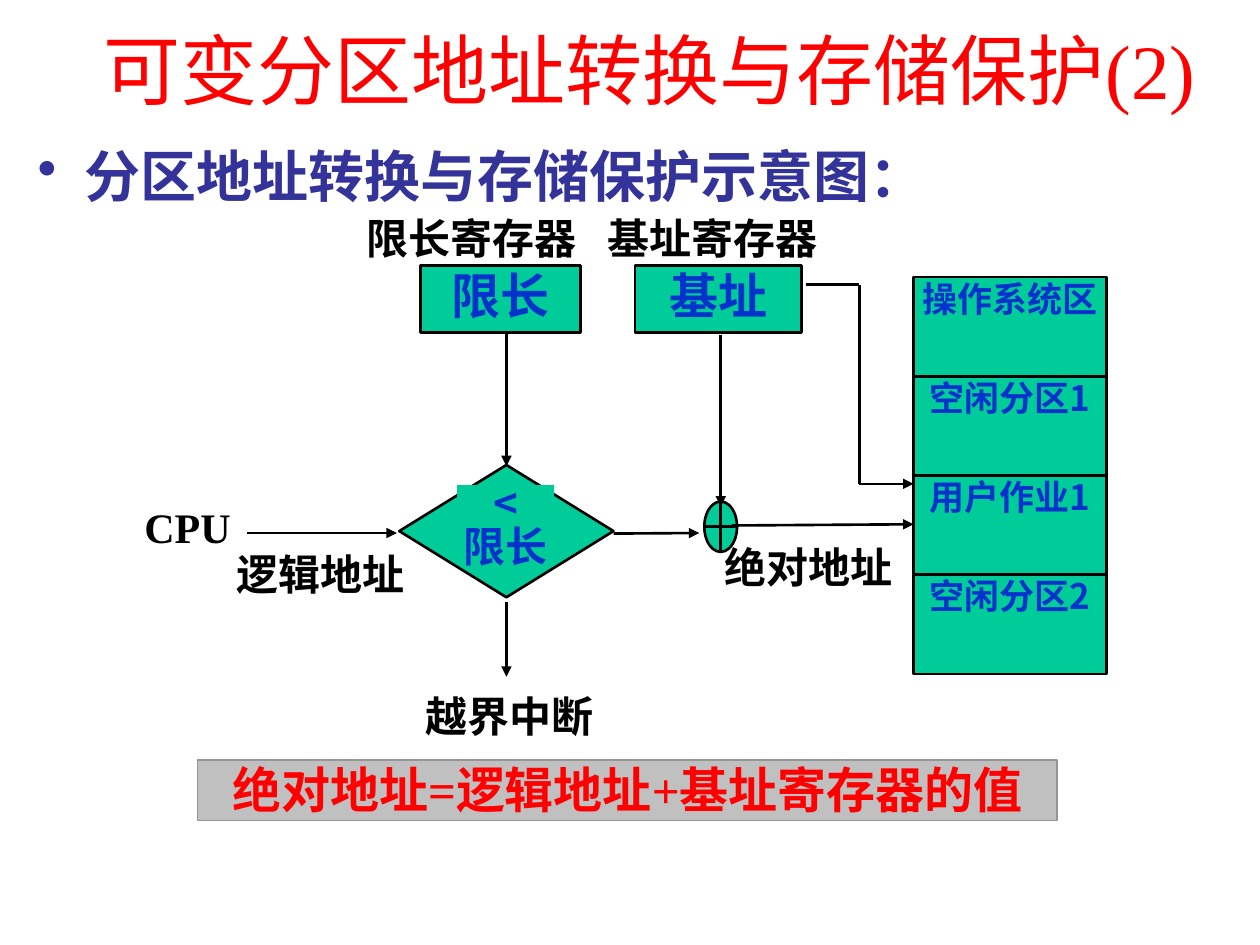
from pptx import Presentation
from pptx.dml.color import RGBColor
from pptx.enum.shapes import MSO_CONNECTOR as LINE, MSO_SHAPE as SHAPE
from pptx.enum.text import MSO_ANCHOR as ANCHOR, PP_ALIGN as ALIGN
from pptx.oxml.ns import qn
from pptx.util import Pt

SANS, SERIF = "Noto Sans CJK JP", "Times New Roman"
BLACK, RED, BLUE, GREEN = "000000", "FF0000", "0033CC", "00CC99"


def color(hex_text):
    """Turn a hex string into a colour."""
    return RGBColor.from_string(hex_text)


def write(shape, lines, size, ink, font=SANS, bold=True, align=ALIGN.CENTER,
          inset=(0, 0), spacing=None):
    """Fill a shape with one paragraph for each line."""
    frame = shape.text_frame
    frame.word_wrap = True
    frame.vertical_anchor = ANCHOR.TOP
    frame.margin_left = frame.margin_right = Pt(inset[0])
    frame.margin_top = frame.margin_bottom = Pt(inset[1])
    for index, line in enumerate(lines):
        para = frame.add_paragraph() if index else frame.paragraphs[0]
        para.alignment = align
        if spacing:
            para.line_spacing = spacing
        span = para.add_run()
        span.text = line
        span.font.size, span.font.bold, span.font.name = Pt(size), bold, font
        span.font.color.rgb = color(ink)
        east_asian = span.font._element.makeelement(qn("a:ea"), {"typeface": SANS})
        span.font._element.find(qn("a:latin")).addnext(east_asian)
    return frame


def add_label(page, box, line, size=24, ink=BLACK, **style):
    """Add a text box holding one line."""
    label = page.shapes.add_textbox(*map(Pt, box))
    return write(label, [line], size, ink, **style)


def add_block(page, kind, box, fill=GREEN, edge=BLACK, width=1.5):
    """Add a filled shape, outlined unless edge is None."""
    block = page.shapes.add_shape(kind, *map(Pt, box))
    block.shadow.inherit = False
    block.fill.solid()
    block.fill.fore_color.rgb = color(fill)
    if edge:
        block.line.color.rgb = color(edge)
        block.line.width = Pt(width)
    else:
        block.line.fill.background()
    return block


def add_line(page, start, end, arrow=True):
    """Draw a straight line, with an arrowhead at its end if asked."""
    line = page.shapes.add_connector(LINE.STRAIGHT, *map(Pt, (*start, *end)))
    line.line.color.rgb = color(BLACK)
    line.line.width = Pt(1.5)
    if arrow:
        outline = line.line._get_or_add_ln()
        outline.append(outline.makeelement(qn("a:tailEnd"), {"type": "triangle"}))
    properties = line._element.spPr
    properties.append(properties.makeelement(qn("a:effectLst"), {}))


def add_heading(page, left, top):
    """Add the title and the bulleted line below it."""
    add_label(page, (left + 22.3, top, 668.9, 52.6), "可变分区地址转换与存储保护(2)",
              44, RED, font=SERIF, bold=False, inset=(7.2, 3.6))
    frame = add_label(page, (left, top + 67.7, 538.6, 38.2), "分区地址转换与存储保护示意图：",
                      32, "333399", font=SERIF, align=ALIGN.LEFT, inset=(7.2, 3.6))
    layout = frame.paragraphs[0]._p.get_or_add_pPr()
    layout.set("marL", str(Pt(27)))
    layout.set("indent", str(Pt(-27)))
    layout.append(layout.makeelement(qn("a:buChar"), {"char": "•"}))


def add_register(page, left, top, width, name, label_left, label_width):
    """Add a register with its label above and its arrow start below."""
    register = add_block(page, SHAPE.RECTANGLE, (left, top, width, 38.2))
    write(register, [name], 28, BLUE)
    add_label(page, (label_left, top - 30.2, label_width, 28.8), name + "寄存器")


def add_memory(page, left, top, width, height, areas):
    """Stack equal memory areas in the given box."""
    step = height / len(areas)
    for row, area in enumerate(areas):
        cell = add_block(page, SHAPE.RECTANGLE, (left, top + row * step, width, step))
        write(cell, [area], 20, BLUE)


def add_limit_check(page, left, top):
    """Add the limit test with its inputs and its overflow exit."""
    middle = left + 61.2
    add_block(page, SHAPE.FLOWCHART_DECISION, (left, top, 122.4, 75.6))
    test = add_block(page, SHAPE.RECTANGLE, (left + 33.1, top + 11.5, 55.4, 43.2), edge=None)
    write(test, ["<", "限长"], 24, BLUE, spacing=0.85)
    add_line(page, (middle, top - 74.9), (middle, top + 0.7))
    add_line(page, (middle, top + 78.5), (middle, top + 121))
    add_label(page, (left + 7.9, top + 128.9, 110.2, 28.8), "越界中断")
    add_label(page, (left - 153.4, top + 20.9, 64.8, 28.8), "CPU", font=SERIF)
    add_line(page, (left - 87.1, top + 38.9), (left - 1.4, top + 38.9))
    add_label(page, (left - 96.5, top + 47.5, 103, 28.8), "逻辑地址")
    add_line(page, (left + 122.4, top + 39.2), (left + 171.4, top + 38.9))


def add_adder(page, left, top):
    """Add the adder with its base input and its address output."""
    add_block(page, SHAPE.FLOWCHART_OR, (left, top, 18.7, 28.8))
    add_line(page, (left + 9.4, top - 95), (left + 9.4, top + 2.9))
    add_line(page, (left + 15.8, top + 13.7), (left + 119.5, top + 13))
    add_label(page, (left + 4.3, top + 23, 110.2, 28.8), "绝对地址")


def add_base_link(page, left, top):
    """Link the base register to the start of the user area."""
    corners = [(left, top), (left + 30.2, top), (left + 30.2, top + 113.8),
               (left + 61.2, top + 113.8)]
    for index in range(3):
        add_line(page, corners[index], corners[index + 1], arrow=index == 2)


def add_summary(page, box):
    """Add the formula bar."""
    bar = add_block(page, SHAPE.RECTANGLE, box, "C0C0C0", "969696", 0.75)
    write(bar, ["绝对地址=逻辑地址+基址寄存器的值"], 28, RED, font=SERIF)


def main():
    """Build the slide and save it."""
    deck = Presentation()
    deck.slide_width, deck.slide_height = Pt(720), Pt(540)
    page = deck.slides.add_slide(deck.slide_layouts[6])
    add_heading(page, 14.4, 9.4)
    add_register(page, 362.9, 151.9, 95, "基址", 341.3, 131.8)
    add_register(page, 240.5, 151.9, 91.4, "限长", 205.9, 127.4)
    add_adder(page, 402.5, 286.6)
    add_memory(page, 522, 158.4, 110.2, 226.8,
               ["操作系统区", "空闲分区1", "用户作业1", "空闲分区2"])
    add_limit_check(page, 228.2, 265.7)
    add_base_link(page, 460.8, 162.7)
    add_summary(page, (113, 434.2, 491, 34.6))
    deck.save("out.pptx")


if __name__ == "__main__":
    main()
